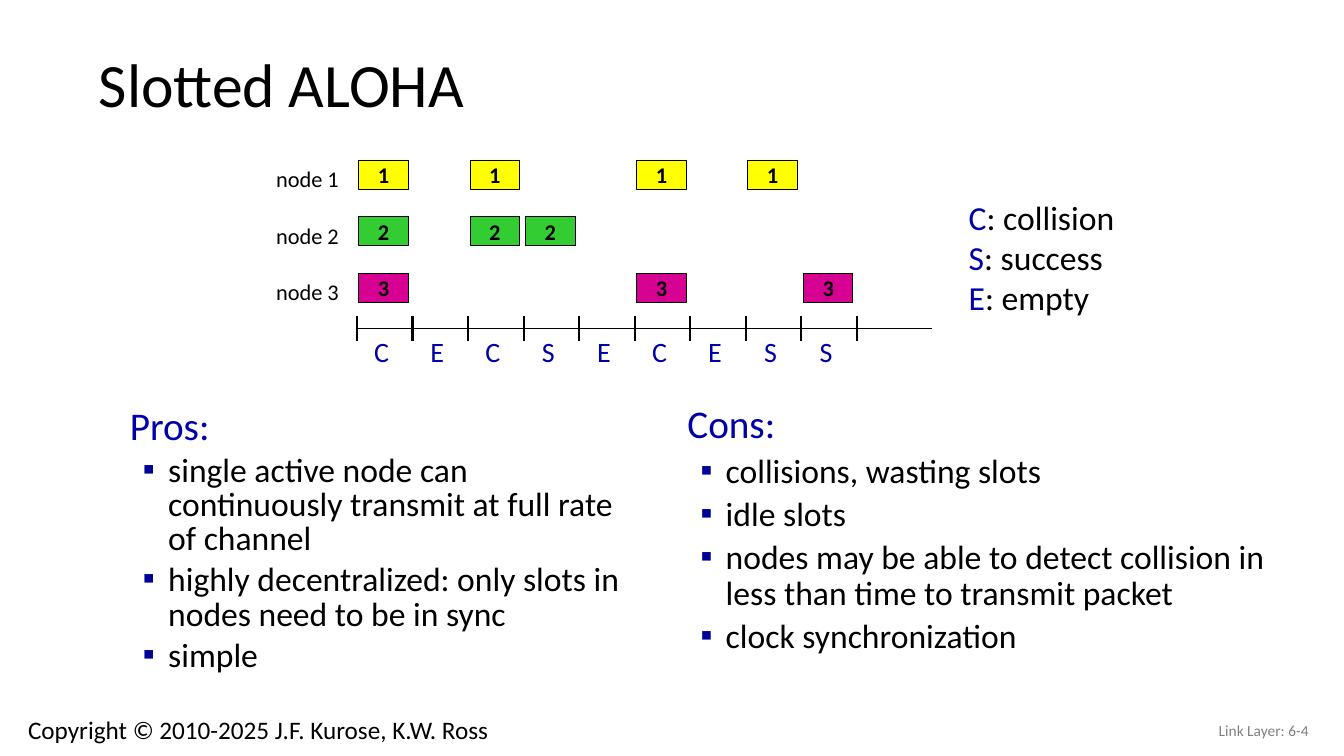
"""Build the Slotted ALOHA slide: a slot timeline above its pros and cons."""
from lxml.etree import SubElement
from pptx import Presentation
from pptx.dml.color import RGBColor
from pptx.enum.shapes import MSO_CONNECTOR, MSO_SHAPE
from pptx.enum.text import MSO_ANCHOR, PP_ALIGN
from pptx.oxml.ns import qn
from pptx.util import Inches, Pt

COLORS = {
    "black": "000000",
    "blue": "0000A8",
    "bullet": "000099",
    "gray": "808080",
    "yellow": "FFFF00",
    "green": "33CC33",
    "magenta": "D60093",
}
AXIS_LEFT, AXIS_RIGHT, AXIS_TOP = 3.54, 9.24, 3.26
OUTCOMES = "CECSECESS"
SLOT = (8.5 - AXIS_LEFT) / len(OUTCOMES)
ROW_TOP, ROW = 1.59, 0.56
TICK = 0.12
NODES = [
    ("yellow", [0, 2, 5, 7]),
    ("green", [0, 2, 3]),
    ("magenta", [0, 5, 8]),
]
LEGEND = [("C", ": collision"), ("S", ": success"), ("E", ": empty")]
LISTS = [
    (1.19, 4, 5.3, 3.5, 0.85, "Pros:", [
        "single active node can continuously transmit at full rate of channel",
        "highly decentralized: only slots in nodes need to be in sync",
        "simple",
    ]),
    (6.72, 3.97, 6.1, 3, 0.9, "Cons:", [
        "collisions, wasting slots",
        "idle slots",
        "nodes may be able to detect collision in less than time to transmit packet",
        "clock synchronization",
    ]),
]


def style(font, size, color="black", bold=False):
    font.name = "Calibri"
    font.size = Pt(size)
    font.bold = bold
    font.color.rgb = RGBColor.from_string(COLORS[color])


def add_text(left, top, width, height, text, size, color="black", align=PP_ALIGN.LEFT):
    box = slide.shapes.add_textbox(Inches(left), Inches(top), Inches(width), Inches(height))
    frame = box.text_frame
    frame.word_wrap = True
    frame.text = text
    frame.paragraphs[0].alignment = align
    for run in frame.paragraphs[0].runs:
        style(run.font, size, color)
    return frame


presentation = Presentation()
presentation.slide_width = Inches(13.33)
presentation.slide_height = Inches(7.5)
slide = presentation.slides.add_slide(presentation.slide_layouts[5])

title = slide.shapes.title
title.left, title.top = Inches(0.88), Inches(0.38)
title.width, title.height = Inches(11.5), Inches(0.98)
title.text_frame.text = "Slotted ALOHA"
title.text_frame.vertical_anchor = MSO_ANCHOR.MIDDLE
title_paragraph = title.text_frame.paragraphs[0]
title_paragraph.alignment = PP_ALIGN.LEFT
title_paragraph.line_spacing = 0.9
style(title_paragraph.runs[0].font, 44)

for left, top, width, height, spacing, heading, items in LISTS:
    frame = add_text(left, top, width, height, heading, 28, "blue")
    frame.paragraphs[0].line_spacing = spacing
    for item in items:
        paragraph = frame.add_paragraph()
        paragraph.text = item
        paragraph.line_spacing = spacing
        paragraph.space_before = Pt(4.8)
        properties = paragraph._p.get_or_add_pPr()
        properties.set("marL", str(Inches(0.38)))
        properties.set("indent", str(Inches(-0.25)))
        bullet_color = SubElement(properties, qn("a:buClr"))
        SubElement(bullet_color, qn("a:srgbClr"), val=COLORS["bullet"])
        SubElement(properties, qn("a:buFont"), typeface="Wingdings")
        SubElement(properties, qn("a:buChar"), char="▪")
        properties.find(qn("a:buFont")).set("typeface", "Calibri")
        style(paragraph.runs[0].font, 24)

for row, (color, slots) in enumerate(NODES):
    top = ROW_TOP + row * ROW
    add_text(2.64, top, 0.95, 0.37, f"node {row + 1}", 16)
    for slot in slots:
        packet = slide.shapes.add_shape(
            MSO_SHAPE.RECTANGLE, Inches(AXIS_LEFT + slot * SLOT + 0.02), Inches(top),
            Inches(0.49), Inches(0.29))
        packet.shadow.inherit = False
        packet.fill.solid()
        packet.fill.fore_color.rgb = RGBColor.from_string(COLORS[color])
        packet.line.color.rgb = RGBColor.from_string(COLORS["black"])
        packet.line.width = Pt(0.75)
        frame = packet.text_frame
        frame.margin_top = frame.margin_bottom = 0
        frame.vertical_anchor = MSO_ANCHOR.MIDDLE
        frame.text = str(row + 1)
        frame.paragraphs[0].alignment = PP_ALIGN.CENTER
        style(frame.paragraphs[0].runs[0].font, 16, bold=True)

axis_lines = [(AXIS_LEFT, AXIS_TOP, AXIS_RIGHT, AXIS_TOP, 0.75)]
for index in range(len(OUTCOMES) + 1):
    tick_left = AXIS_LEFT + index * SLOT
    axis_lines.append((tick_left, AXIS_TOP - TICK, tick_left, AXIS_TOP + TICK, 1.5))
for start_x, start_y, end_x, end_y, weight in axis_lines:
    line = slide.shapes.add_connector(
        MSO_CONNECTOR.STRAIGHT, Inches(start_x), Inches(start_y), Inches(end_x), Inches(end_y))
    line.line.color.rgb = RGBColor.from_string(COLORS["black"])
    line.line.width = Pt(weight)
    SubElement(line._element.spPr, qn("a:effectLst"))

for slot, outcome in enumerate(OUTCOMES):
    add_text(AXIS_LEFT + slot * SLOT - 0.03, 3.27, SLOT, 0.44, outcome, 20, "blue", PP_ALIGN.CENTER)

legend = add_text(9.51, 1.9, 2, 1.31, "", 24)
for index, (letter, meaning) in enumerate(LEGEND):
    paragraph = legend.add_paragraph() if index else legend.paragraphs[0]
    paragraph.text = letter
    style(paragraph.runs[0].font, 24, "blue")
    meaning_run = paragraph.add_run()
    meaning_run.text = meaning
    style(meaning_run.font, 24)

page = add_text(10.08, 7.05, 3, 0.4, "Link Layer: 6-4", 11, "gray", PP_ALIGN.RIGHT)
page.vertical_anchor = MSO_ANCHOR.MIDDLE
add_text(0.18, 7.04, 7.96, 0.4, "Copyright © 2010-2025 J.F. Kurose, K.W. Ross", 18)

presentation.save("out.pptx")
